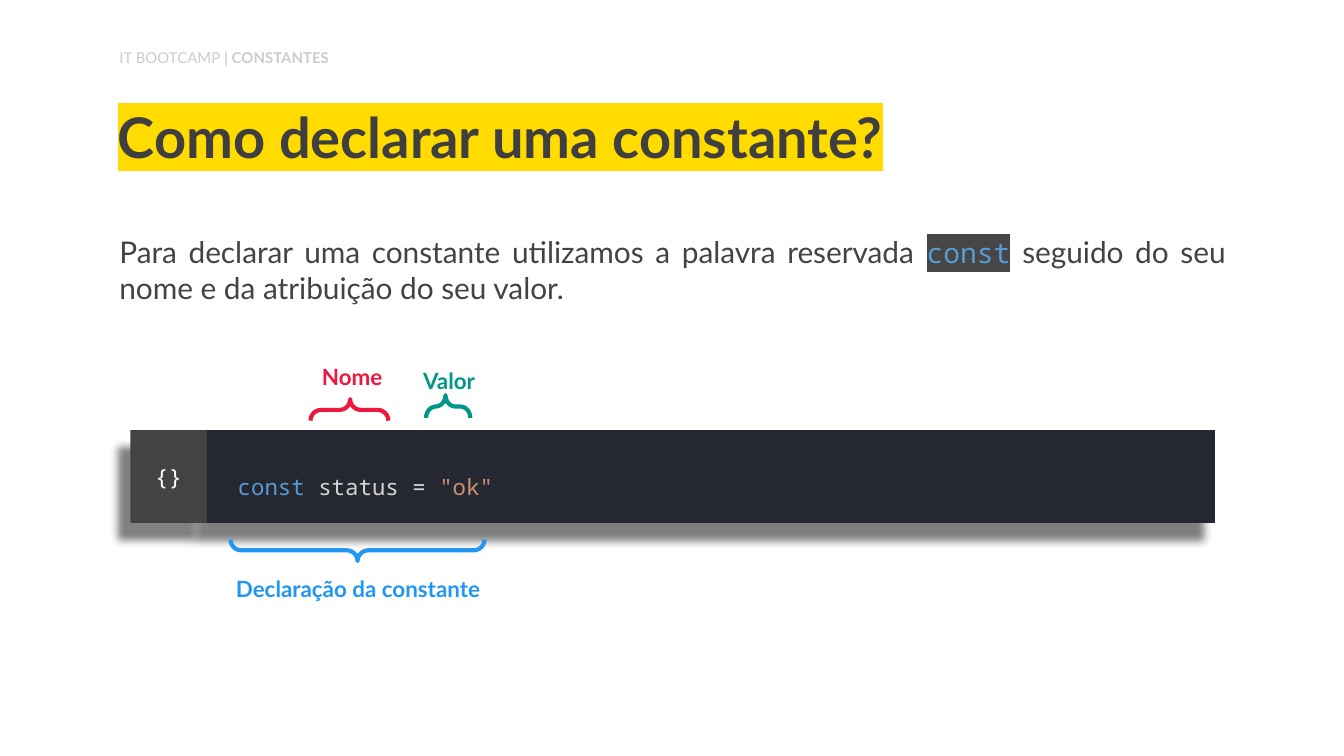
from dataclasses import dataclass

from lxml import etree
from pptx import Presentation
from pptx import util as u
from pptx.dml.color import RGBColor
from pptx.enum import shapes, text
from pptx.oxml.ns import qn

PX = 9144  # EMU in one px, 100 px to the inch

WHITE = RGBColor(0xFF, 0xFF, 0xFF)
NIGHT = RGBColor(0x26, 0x28, 0x31)
GRAY = RGBColor(0x43, 0x43, 0x43)
INK = RGBColor(0x3F, 0x3F, 0x3F)
PALE = RGBColor(0xCC, 0xCC, 0xCC)
YELLOW = RGBColor(0xFF, 0xDB, 0x00)
SLATE = RGBColor(0x46, 0x46, 0x46)
KEY = RGBColor(0x56, 0x9C, 0xD6)
PLAIN = RGBColor(0xD4, 0xD4, 0xD4)
QUOTE = RGBColor(0xCE, 0x91, 0x78)
RED = RGBColor(0xEC, 0x18, 0x3F)
GREEN = RGBColor(0x00, 0x96, 0x88)
BLUE = RGBColor(0x21, 0x96, 0xF3)

SANS, MONO = "Lato", "Noto Sans Mono"
LEFT, MID, JUST = (text.PP_ALIGN.LEFT, text.PP_ALIGN.CENTER,
                   text.PP_ALIGN.JUSTIFY)
TOP, CORE, BASE = (text.MSO_ANCHOR.TOP, text.MSO_ANCHOR.MIDDLE,
                   text.MSO_ANCHOR.BOTTOM)


@dataclass
class Bit:
    """A run, with what differs from its paragraph."""
    words: str
    color: RGBColor | None = None
    bold: bool | None = None
    size: int | None = None
    face: str | None = None
    mark: RGBColor | None = None


@dataclass
class Label:
    box: tuple[int, int, int, int]
    bits: list[Bit]
    size: int
    color: RGBColor
    bold: bool = False
    face: str = SANS
    align: text.PP_ALIGN = LEFT
    anchor: text.MSO_ANCHOR = TOP
    lines: float | None = None
    after: int | None = None
    inset: tuple[int, int, int, int] = (10, 10, 10, 10)
    grow: bool = False


@dataclass
class Brace:
    box: tuple[int, int, int, int]
    turn: int
    tip: float
    color: RGBColor


@dataclass
class Panel:
    box: tuple[int, int, int, int]
    fill: RGBColor


def scale(box: tuple[int, ...]) -> list[u.Emu]:
    return [u.Emu(n * PX) for n in box]


def style(font, item: Label | Bit) -> None:
    if item.size:
        font.size = u.Pt(item.size)
    if item.bold is not None:
        font.bold = item.bold
    if item.color is not None:
        font.color.rgb = item.color
    if item.face:
        font.name = item.face


def mark(run, color: RGBColor) -> None:
    """Put a highlight behind a run, ahead of its typeface."""
    props = run.font._element
    glow = etree.Element(qn("a:highlight"))
    etree.SubElement(glow, qn("a:srgbClr"), val=str(color))
    face = props.find(qn("a:latin"))
    if face is None:
        props.append(glow)
    else:
        face.addprevious(glow)


def write(frame, label: Label) -> None:
    frame.word_wrap = True
    if label.grow:
        frame.auto_size = text.MSO_AUTO_SIZE.SHAPE_TO_FIT_TEXT
    frame.vertical_anchor = label.anchor
    (frame.margin_left, frame.margin_top,
     frame.margin_right, frame.margin_bottom) = scale(label.inset)
    para = frame.paragraphs[0]
    para.alignment = label.align
    if label.lines:
        para.line_spacing = label.lines
    if label.after:
        para.space_after = u.Pt(label.after)
    style(para.font, label)
    for bit in label.bits:
        run = para.add_run()
        run.text = bit.words
        style(run.font, bit)
        if bit.mark is not None:
            mark(run, bit.mark)


def shade(shape) -> None:
    """Cast a soft half-black shadow down and to the left."""
    shape.shadow.inherit = False
    glow = shape._element.spPr.find(qn("a:effectLst"))
    cast = etree.SubElement(
        glow, qn("a:outerShdw"), blurRad=str(u.Pt(4.5)), dist=str(u.Pt(11.2)),
        dir=str(125 * 60000), algn="bl", rotWithShape="0")
    tone = etree.SubElement(cast, qn("a:srgbClr"), val="000000")
    etree.SubElement(tone, qn("a:alpha"), val="50000")


def draw_panel(group, panel: Panel):
    shape = group.shapes.add_shape(
        shapes.MSO_SHAPE.RECTANGLE, *scale(panel.box))
    shape.fill.solid()
    shape.fill.fore_color.rgb = panel.fill
    shape.line.fill.background()
    shade(shape)
    return shape


def draw_brace(slide, brace: Brace) -> None:
    shape = slide.shapes.add_shape(
        shapes.MSO_SHAPE.RIGHT_BRACE, *scale(brace.box))
    shape.rotation = brace.turn
    shape.adjustments[0] = 0.5
    shape.adjustments[1] = brace.tip
    shape.shadow.inherit = False
    shape.fill.background()
    shape.line.color.rgb = brace.color
    shape.line.width = u.Pt(2.25)


def draw_label(slide, label: Label) -> None:
    write(slide.shapes.add_textbox(*scale(label.box)).text_frame, label)


CODE = Panel((154, 320, 750, 69), NIGHT)
TAB = Panel((97, 320, 57, 69), GRAY)
ICON = Label(TAB.box, [Bit("{}")], 12, WHITE, face=MONO, align=MID,
             anchor=CORE)

TITLE = Label((78, 68, 843, 69),
              [Bit("Como declarar uma constante?", mark=YELLOW)],
              30, INK, bold=True, anchor=BASE, lines=0.9)
BODY = Label((79, 164, 843, 69),
             [Bit("Para declarar uma constante utilizamos a palavra reservada "),
              Bit("const", KEY, size=15, face=MONO, mark=SLATE),
              Bit(" seguido do seu nome e da atribuição do seu valor.")],
             16, GRAY, align=JUST)
HEAD = Label((79, 31, 314, 27),
             [Bit("IT BOOTCAMP"), Bit(" | CONSTANTES", bold=True)],
             8, PALE, after=12, inset=(10, 5, 10, 5))
LINE = Label((167, 332, 328, 40),
             [Bit("const", KEY), Bit(" status = "), Bit('"ok"', QUOTE)],
             12, PLAIN, face=MONO, lines=1.5, grow=True)

NOTES = [
    (Brace((252, 276, 16, 58), 270, 0.51, RED),
     Label((207, 260, 106, 45), [Bit("Nome")], 12, RED, bold=True, align=MID,
           inset=(14, 10, 10, 10))),
    (Brace((325, 286, 17, 33), 270, 0.44, GREEN),
     Label((305, 263, 76, 45), [Bit("Valor")], 12, GREEN, bold=True)),
    (Brace((258, 315, 16, 189), 90, 0.5, BLUE),
     Label((86, 418, 361, 45), [Bit("Declaração da constante")], 12, BLUE,
           bold=True, align=MID)),
]


def main() -> None:
    deck = Presentation()
    deck.slide_width = u.Emu(1000 * PX)
    deck.slide_height = u.Emu(deck.slide_width * 9 // 16)
    slide = deck.slides.add_slide(deck.slide_layouts[6])
    group = slide.shapes.add_group_shape()
    draw_panel(group, CODE)
    write(draw_panel(group, TAB).text_frame, ICON)
    for label in (TITLE, BODY, HEAD, LINE):
        draw_label(slide, label)
    for brace, label in NOTES:
        draw_brace(slide, brace)
        draw_label(slide, label)
    deck.save("out.pptx")


if __name__ == "__main__":
    main()
